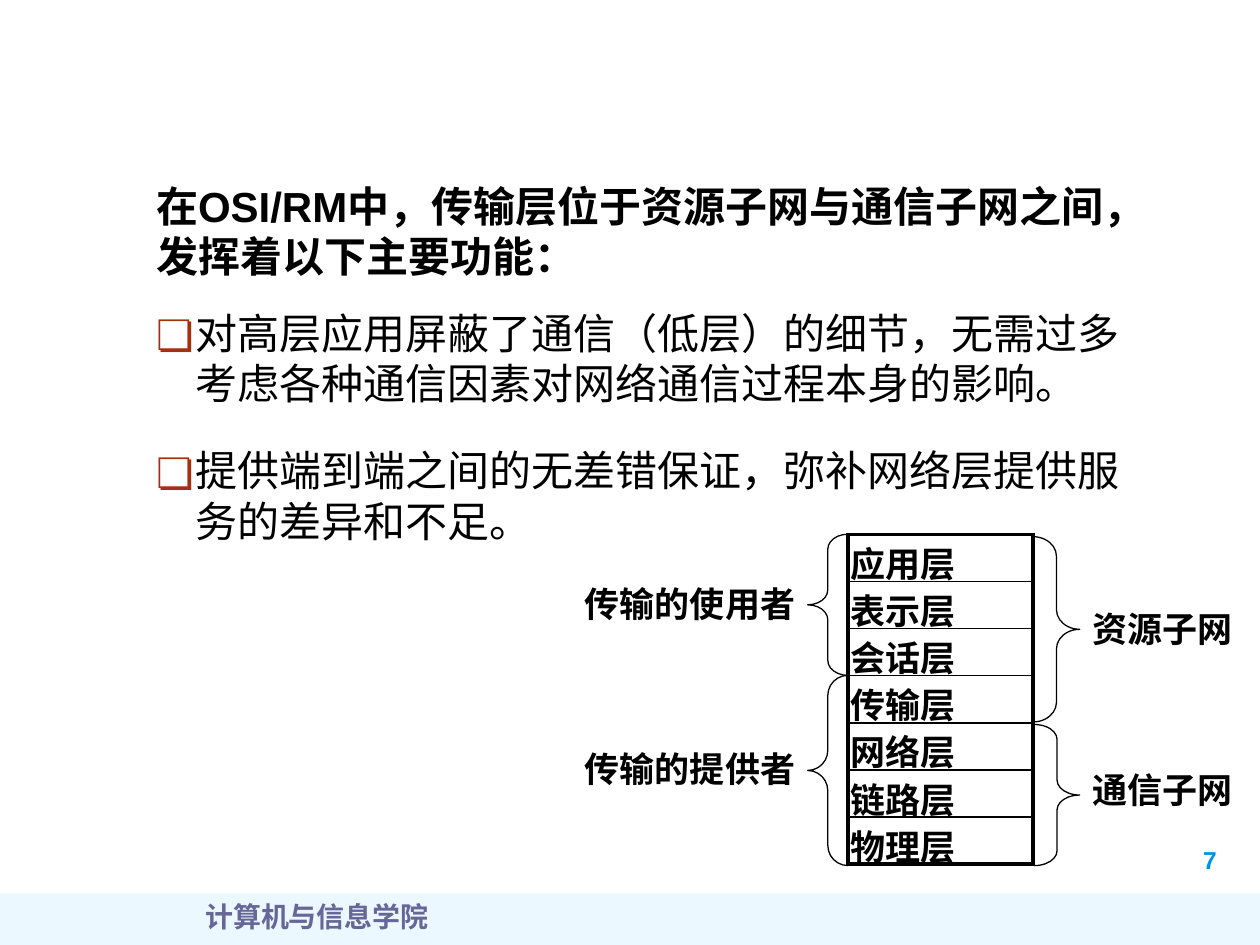
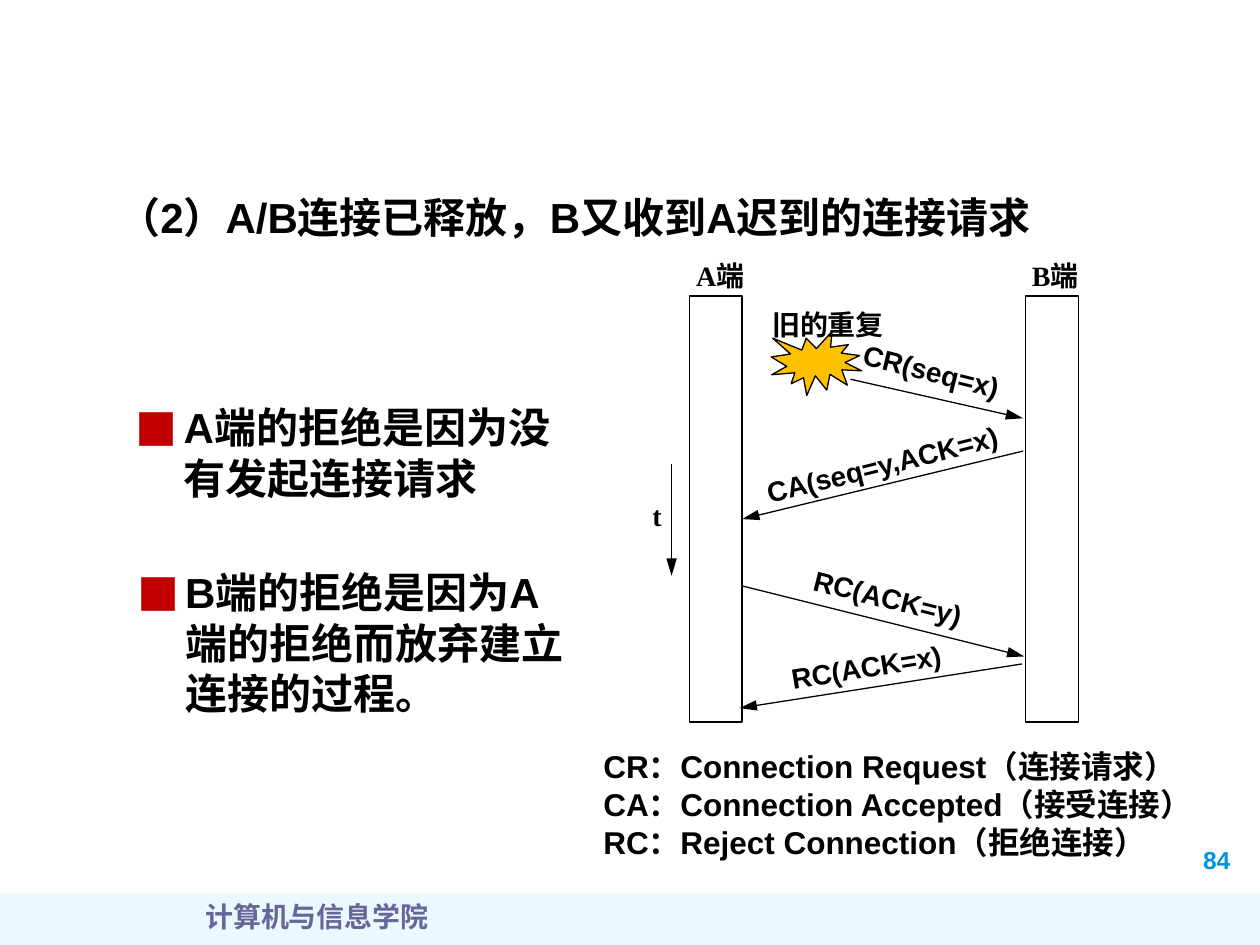
import pptx
import pptx.util
import pptx.dml.color
import pptx.enum.shapes
import pptx.enum.text
import pptx.oxml.ns
from lxml import etree

Inches = pptx.util.Inches
Pt = pptx.util.Pt
SHAPES = pptx.enum.shapes.MSO_SHAPE
ALIGN = pptx.enum.text.PP_ALIGN
ANCHOR = pptx.enum.text.MSO_ANCHOR
qn = pptx.oxml.ns.qn

COLORS = {
    "text": "000000",
    "band": "A7E2FF",
    "page_number": "0094DE",
    "school": "666699",
    "box_bullet": "A53010",
    "square_bullet": "C00000",
    "burst": "FFC000",
}
SANS, SERIF, CJK = "Arial", "Times New Roman", "Noto Sans CJK SC"


def rgb(name):
    return pptx.dml.color.RGBColor.from_string(COLORS[name])


def add_element(parent, tag, **attributes):
    return etree.SubElement(parent, qn(tag), attributes)


def format_runs(paragraph, size, font, color="text", bold=True):
    for run in paragraph.runs:
        run.font.size = Pt(size)
        run.font.bold = bold
        run.font.color.rgb = rgb(color)
        run.font.name = font
        add_element(run.font._element, "a:ea", typeface=CJK)


def add_bullet(paragraph, character, color, indent):
    properties = paragraph._p.get_or_add_pPr()
    properties.set("marL", str(Inches(indent)))
    properties.set("indent", str(-Inches(indent)))
    bullet_color = add_element(properties, "a:buClr")
    add_element(bullet_color, "a:srgbClr", val=COLORS[color])
    add_element(properties, "a:buFont", typeface=CJK)
    add_element(properties, "a:buChar", char=character)


def add_text(slide, box, lines, size, font=SANS, color="text", bold=True,
             align=ALIGN.LEFT, spacing=None, rotation=0, anchor=ANCHOR.TOP,
             bullet=None):
    """Box is left, top, width, height; bullet is character, colour, indent."""
    shape = slide.shapes.add_textbox(*map(Inches, box))
    shape.rotation = rotation
    frame = shape.text_frame
    frame.word_wrap = True
    frame.vertical_anchor = anchor
    frame.text = lines
    for paragraph in frame.paragraphs:
        paragraph.alignment = align
        if spacing:
            paragraph.line_spacing = spacing
        if bullet:
            add_bullet(paragraph, *bullet)
        format_runs(paragraph, size, font, color, bold)


def add_outline(slide, preset, box, fill=None, adjustments=()):
    shape = slide.shapes.add_shape(preset, *map(Inches, box))
    shape.shadow.inherit = False
    shape.line.color.rgb = rgb("text")
    shape.line.width = Pt(0.75)
    if fill:
        shape.fill.solid()
        shape.fill.fore_color.rgb = rgb(fill)
    else:
        shape.fill.background()
    for index, value in enumerate(adjustments):
        shape.adjustments[index] = value


def add_arrow(slide, start, end):
    arrow = slide.shapes.add_connector(
        pptx.enum.shapes.MSO_CONNECTOR.STRAIGHT, *map(Inches, start + end))
    arrow.line.color.rgb = rgb("text")
    arrow.line.width = Pt(0.75)
    add_element(arrow.line._get_or_add_ln(), "a:tailEnd",
                type="triangle", w="med", len="lg")
    add_element(arrow._element.spPr, "a:effectLst")


def set_cell_borders(cell, widths):
    properties = cell._tc.get_or_add_tcPr()
    for position, (side, width) in enumerate(widths.items()):
        line = etree.Element(qn("a:ln" + side), w=str(Pt(width)))
        fill = add_element(line, "a:solidFill")
        add_element(fill, "a:srgbClr", val=COLORS["text"])
        properties.insert(position, line)


def add_layer_table(slide, box, layers):
    table = slide.shapes.add_table(len(layers), 1, *map(Inches, box)).table
    table.first_row = table.horz_banding = False
    last = len(layers) - 1
    for index, layer in enumerate(layers):
        table.rows[index].height = Inches(box[3] / len(layers))
        cell = table.cell(index, 0)
        cell.margin_left = cell.margin_right = Inches(0.02)
        cell.margin_top = cell.margin_bottom = Inches(0.02)
        cell.vertical_anchor = ANCHOR.MIDDLE
        cell.text = layer
        format_runs(cell.text_frame.paragraphs[0], 20, SANS)
        cell.fill.background()
        set_cell_borders(cell, {"L": 2.25, "R": 2.25,
                                "T": 2.25 if index == 0 else 1,
                                "B": 2.25 if index == last else 1})


def add_slide(presentation, number):
    """Blank slide with the footer band, the school and the page number."""
    slide = presentation.slides.add_slide(presentation.slide_layouts[6])
    band = slide.shapes.add_shape(
        SHAPES.RECTANGLE, *map(Inches, (0, 7.09, 10, 0.41)))
    band.shadow.inherit = False
    band.line.fill.background()
    band.fill.solid()
    band.fill.fore_color.rgb = rgb("band")
    color = band._element.spPr.find(".//" + qn("a:srgbClr"))
    add_element(color, "a:alpha", val="21000")
    add_text(slide, (9.45, 6.66, 0.59, 0.33), str(number), 14,
             color="page_number")
    add_text(slide, (0.27, 7.09, 4.49, 0.5), "计算机与信息学院", 16, SERIF,
             "school", align=ALIGN.CENTER)
    return slide


def build_function_slide(presentation):
    slide = add_slide(presentation, 7)
    add_text(slide, (1.14, 1.38, 8.11, 0.91),
             "在OSI/RM中，传输层位于资源子网与通信子网之间，发挥着以下主要功能：", 24)
    functions = (
        (2.39, "对高层应用屏蔽了通信（低层）的细节，无需过多考虑各种通信因素对网络通信过程本身的影响。"),
        (3.48, "提供端到端之间的无差错保证，弥补网络层提供服务的差异和不足。"),
    )
    for top, text in functions:
        add_text(slide, (1.14, top, 8.11, 0.91), text, 24, CJK, bold=False,
                 bullet=("❏", "box_bullet", 0.31))

    add_layer_table(slide, (6.73, 4.24, 1.47, 2.62),
                    ("应用层", "表示层", "会话层", "传输层",
                     "网络层", "链路层", "物理层"))
    braces = (
        (SHAPES.LEFT_BRACE, (6.41, 4.24, 0.32, 1.12), 0.37),
        (SHAPES.LEFT_BRACE, (6.41, 5.36, 0.32, 1.51), 0.5),
        (SHAPES.RIGHT_BRACE, (8.2, 4.26, 0.37, 1.47), 0.42),
        (SHAPES.RIGHT_BRACE, (8.21, 5.75, 0.36, 1.12), 0.33),
    )
    for preset, box, curve in braces:
        add_outline(slide, preset, box, adjustments=(curve, 0.5))
    labels = (
        ("传输的使用者", (4.36, 4.57, 2.05, 0.45), ALIGN.RIGHT, None),
        ("传输的提供者", (4.36, 5.92, 2.05, 0.38), ALIGN.RIGHT, 0.9),
        ("资源子网", (8.57, 4.81, 1.56, 0.4), ALIGN.JUSTIFY, 0.9),
        ("通信子网", (8.57, 6.09, 1.56, 0.4), ALIGN.JUSTIFY, 0.9),
    )
    for text, box, align, spacing in labels:
        add_text(slide, box, text, 20, SERIF, align=align, spacing=spacing)


def build_late_request_slide(presentation):
    slide = add_slide(presentation, 84)
    add_text(slide, (0.84, 1.47, 8.65, 0.5),
             "（2）A/B连接已释放，B又收到A迟到的连接请求", 24)
    reasons = (
        ((0.98, 3.14, 3.62, 0.91), "A端的拒绝是因为没有发起连接请求"),
        ((0.99, 4.45, 3.62, 1.31), "B端的拒绝是因为A端的拒绝而放弃建立连接的过程。"),
    )
    for box, text in reasons:
        add_text(slide, box, text, 24, bullet=("■", "square_bullet", 0.38))

    for name, bar_left, label_left in (("A端", 5.47, 5.31),
                                       ("B端", 8.14, 7.97)):
        add_outline(slide, SHAPES.RECTANGLE, (bar_left, 2.35, 0.42, 3.38))
        add_text(slide, (label_left, 2, 0.81, 0.38), name, 16, SERIF,
                 align=ALIGN.CENTER)
    add_text(slide, (5.08, 3.91, 0.32, 0.38), "t", 16, SERIF)
    add_arrow(slide, (5.33, 3.68), (5.33, 4.57))

    messages = (
        ("CR(seq=x)", (6.66, 2.76, 1.46, 0.38), 14, ANCHOR.TOP,
         (6.75, 3.01), (8.12, 3.32)),
        ("CA(seq=y,ACK=x)", (5.88, 3.49, 2.24, 0.39), 346, ANCHOR.MIDDLE,
         (8.12, 3.58), (5.89, 4.12)),
        ("RC(ACK=y)", (5.81, 4.56, 2.47, 0.38), 14, ANCHOR.TOP,
         (5.89, 4.65), (8.13, 5.21)),
        ("RC(ACK=x)", (5.59, 5.11, 2.55, 0.24), 350.7, ANCHOR.TOP,
         (8.11, 5.27), (5.87, 5.62)),
    )
    for text, box, rotation, anchor, start, end in messages:
        add_text(slide, box, text, 16, align=ALIGN.CENTER,
                 rotation=rotation, anchor=anchor)
        add_arrow(slide, start, end)
    add_outline(slide, SHAPES.EXPLOSION1, (6.12, 2.63, 0.72, 0.51), "burst")
    add_text(slide, (6.03, 2.39, 1.25, 0.37), "旧的重复", 16)

    add_text(slide, (4.69, 5.88, 5.41, 0.71),
             "CR：Connection Request（连接请求）\n"
             "CA：Connection Accepted（接受连接）", 18)
    add_text(slide, (4.69, 6.48, 5.28, 0.4),
             "RC：Reject Connection（拒绝连接）", 18)


def main():
    presentation = pptx.Presentation()
    presentation.slide_width = Inches(10)
    presentation.slide_height = Inches(7.5)
    build_function_slide(presentation)
    build_late_request_slide(presentation)
    presentation.save("out.pptx")


if __name__ == "__main__":
    main()
